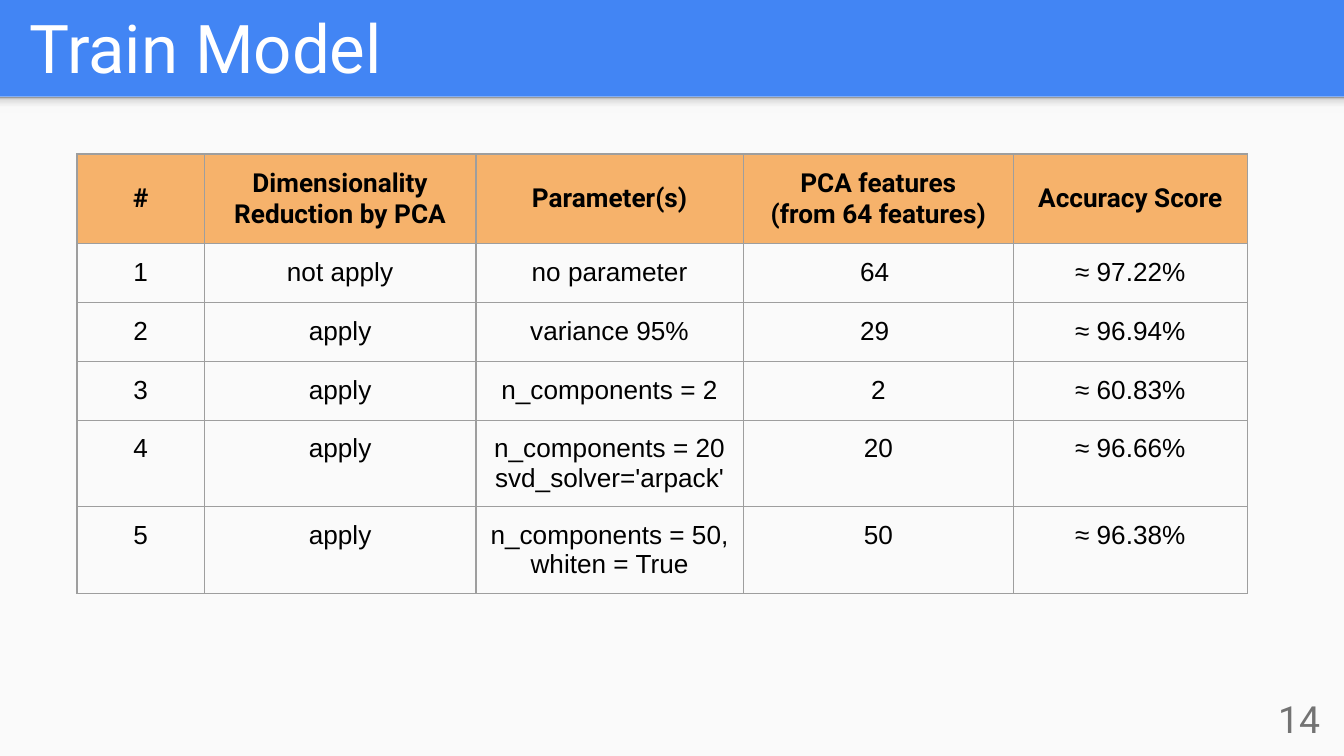
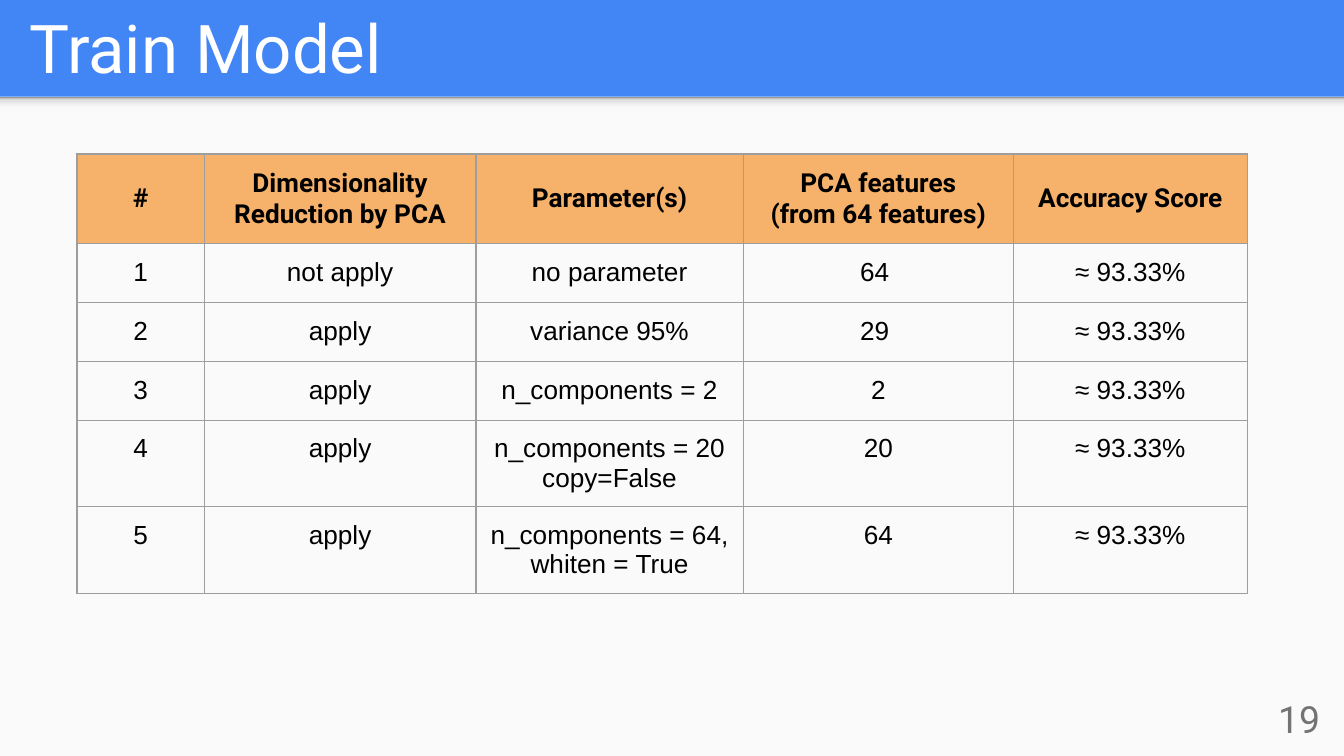
from copy import deepcopy
from dataclasses import dataclass

from lxml import etree
from pptx import Presentation
from pptx import util as u
from pptx.dml.color import RGBColor
from pptx.enum import shapes, text
from pptx.oxml.ns import qn

PX = 9525  # EMU per px, 96 px to the inch
WIDTH, HEIGHT = 960, 540
BAND_HEIGHT, SHADOW_HEIGHT = 69, 12
INSET = 10

BLUE = RGBColor(0x42, 0x85, 0xF4)
PAPER = RGBColor(0xFA, 0xFA, 0xFA)
WHITE = RGBColor(0xFF, 0xFF, 0xFF)
BLACK = RGBColor(0x00, 0x00, 0x00)
GREY = RGBColor(0x73, 0x73, 0x73)
BORDER = RGBColor(0x9E, 0x9E, 0x9E)
ORANGE = RGBColor(0xF6, 0xB2, 0x6B)
SHADOW_STOPS = [
    (0, RGBColor(0xF9, 0xF9, 0xF9)),
    (0.36, RGBColor(0xF9, 0xF9, 0xF9)),
    (0.8, RGBColor(0xDE, 0xDE, 0xDE)),
    (1, RGBColor(0x99, 0x99, 0x99)),
]


@dataclass(frozen=True)
class Box:
    left: int
    top: int
    width: int
    height: int

    def emu(self) -> list[int]:
        return [v * PX for v in (self.left, self.top, self.width, self.height)]


@dataclass(frozen=True)
class TextStyle:
    font: str
    size: int
    color: RGBColor
    align: text.PP_ALIGN = text.PP_ALIGN.CENTER
    bold: bool = False


@dataclass(frozen=True)
class Trial:
    """One PCA setting and the accuracy it reached."""
    pca: str
    parameters: str
    features: str
    accuracy: str


@dataclass(frozen=True)
class ResultSlide:
    number: int
    trials: list[Trial]


TITLE_STYLE = TextStyle("Roboto", 36, WHITE, text.PP_ALIGN.LEFT)
NUMBER_STYLE = TextStyle("Roboto", 20, GREY, text.PP_ALIGN.RIGHT)
HEADER_STYLE = TextStyle("Roboto", 14, BLACK, bold=True)
BODY_STYLE = TextStyle("Arial", 14, BLACK)

TITLE_BOX = Box(11, 2, 926, 63)
NUMBER_BOX = Box(895, 493, 58, 41)
TABLE_LEFT, TABLE_TOP = 55, 110
COLUMN_WIDTHS = [91, 194, 191, 193, 167]
HEADER_HEIGHT, ROW_HEIGHT = 60, 42
HEADERS = ["#", "Dimensionality Reduction by PCA", "Parameter(s)",
           "PCA features\n(from 64 features)", "Accuracy Score"]

SLIDES = [
    ResultSlide(14, [
        Trial("not apply", "no parameter", "64 ", "≈ 97.22%"),
        Trial("apply", "variance 95%", "29 ", "≈ 96.94%"),
        Trial("apply", "n_components = 2", "2", "≈ 60.83%"),
        Trial("apply", "n_components = 20 svd_solver='arpack'", "20", "≈ 96.66%"),
        Trial("apply", "n_components = 50, whiten = True", "50", "≈ 96.38%"),
    ]),
    ResultSlide(19, [
        Trial("not apply", "no parameter", "64 ", "≈ 93.33%"),
        Trial("apply", "variance 95%", "29 ", "≈ 93.33%"),
        Trial("apply", "n_components = 2", "2", "≈ 93.33%"),
        Trial("apply", "n_components = 20 copy=False", "20", "≈ 93.33%"),
        Trial("apply", "n_components = 64, whiten = True", "64", "≈ 93.33%"),
    ]),
]


def write(tf, words: str, style: TextStyle) -> None:
    tf.text = words
    for p in tf.paragraphs:
        p.alignment = style.align
        for r in p.runs:
            r.font.name = style.font
            r.font.size = u.Pt(style.size)
            r.font.bold = style.bold
            r.font.color.rgb = style.color


def set_insets(target) -> None:
    """Give a text frame or a table cell the common inner margins."""
    target.margin_left = target.margin_right = INSET * PX
    target.margin_top = target.margin_bottom = INSET * PX


def fill_box(sp, box: Box, words: str, style: TextStyle) -> None:
    sp.left, sp.top, sp.width, sp.height = box.emu()
    tf = sp.text_frame
    tf.word_wrap = True
    tf.auto_size = text.MSO_AUTO_SIZE.NONE
    tf.vertical_anchor = text.MSO_ANCHOR.MIDDLE
    set_insets(tf)
    write(tf, words, style)


def add_rect(s, box: Box):
    sp = s.shapes.add_shape(shapes.MSO_SHAPE.RECTANGLE, *box.emu())
    sp.shadow.inherit = False
    sp.line.fill.background()
    return sp


def shade(sp) -> None:
    """Fill with the band's shadow, darkest at the top."""
    sp.fill.gradient()
    sp.fill.gradient_angle = 90
    gs_lst = sp._element.spPr.find(".//" + qn("a:gsLst"))
    while len(gs_lst) < len(SHADOW_STOPS):
        gs_lst.append(deepcopy(gs_lst[0]))
    for stop, (position, color) in zip(sp.fill.gradient_stops, SHADOW_STOPS):
        stop.position = position
        stop.color.rgb = color


def dress_layout(layout, s) -> None:
    """Draw the shared backdrop on a slide and move it to the layout."""
    fill = layout.background.fill
    fill.solid()
    fill.fore_color.rgb = BLUE
    paper = add_rect(s, Box(0, BAND_HEIGHT, WIDTH, HEIGHT - BAND_HEIGHT))
    paper.fill.solid()
    paper.fill.fore_color.rgb = PAPER
    shadow = add_rect(s, Box(0, BAND_HEIGHT, WIDTH, SHADOW_HEIGHT))
    shade(shadow)
    for sp in (paper, shadow):
        layout.shapes._spTree.append(sp._element)


def outline(cell) -> None:
    tc_pr = cell._tc.get_or_add_tcPr()
    for side in ("a:lnL", "a:lnR", "a:lnT", "a:lnB"):
        ln = etree.SubElement(tc_pr, qn(side), w=str(u.Pt(0.75)))
        solid = etree.SubElement(ln, qn("a:solidFill"))
        etree.SubElement(solid, qn("a:srgbClr"), val=str(BORDER))


def format_cell(cell, words: str, is_header: bool) -> None:
    outline(cell)
    set_insets(cell)
    if is_header:
        cell.fill.solid()
        cell.fill.fore_color.rgb = ORANGE
        cell.vertical_anchor = text.MSO_ANCHOR.MIDDLE
    else:
        cell.fill.background()
    write(cell.text_frame, words, HEADER_STYLE if is_header else BODY_STYLE)


def add_results(s, trials: list[Trial]) -> None:
    rows = [HEADERS] + [[str(i), t.pca, t.parameters, t.features, t.accuracy]
                        for i, t in enumerate(trials, 1)]
    heights = [HEADER_HEIGHT] + [ROW_HEIGHT] * len(trials)
    box = Box(TABLE_LEFT, TABLE_TOP, sum(COLUMN_WIDTHS), sum(heights))
    table = s.shapes.add_table(len(rows), len(HEADERS), *box.emu()).table
    table.first_row = table.horz_banding = False
    for column, width in zip(table.columns, COLUMN_WIDTHS):
        column.width = width * PX
    for i, (row, height, values) in enumerate(zip(table.rows, heights, rows)):
        row.height = height * PX
        for cell, words in zip(row.cells, values):
            format_cell(cell, words, is_header=i == 0)


def main() -> None:
    prs = Presentation()
    prs.slide_width, prs.slide_height = WIDTH * PX, HEIGHT * PX
    layout = prs.slide_layouts[5]
    for i, content in enumerate(SLIDES):
        s = prs.slides.add_slide(layout)
        if i == 0:
            dress_layout(layout, s)
        fill_box(s.shapes.title, TITLE_BOX, "Train Model", TITLE_STYLE)
        number = s.shapes.add_textbox(*NUMBER_BOX.emu())
        fill_box(number, NUMBER_BOX, str(content.number), NUMBER_STYLE)
        add_results(s, content.trials)
    prs.save("out.pptx")


if __name__ == "__main__":
    main()
